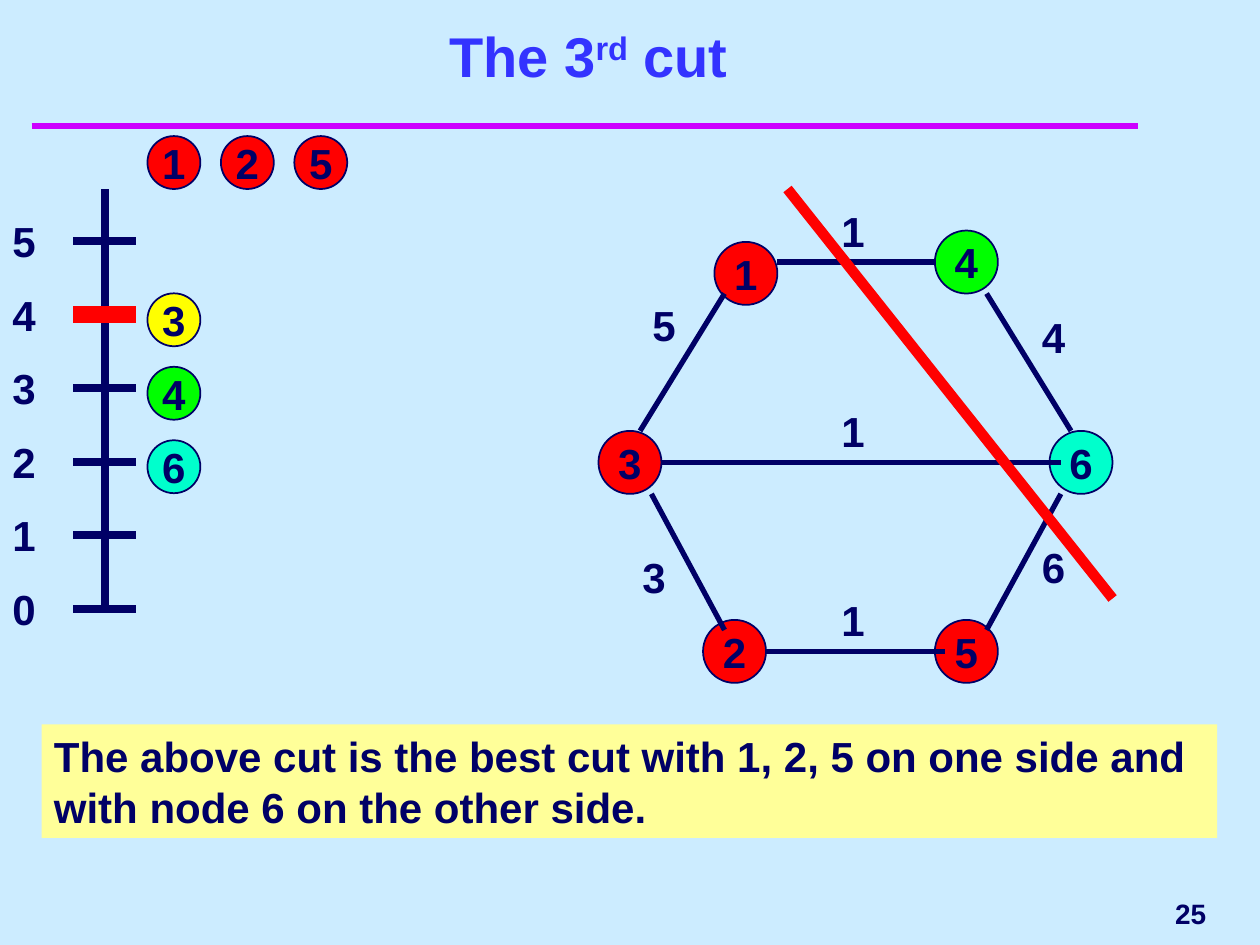
from pptx import Presentation
from pptx import util as u
from pptx.dml.color import RGBColor
from pptx.enum import shapes, text
from pptx.oxml import parse_xml
from pptx.oxml.ns import nsdecls

COLORS = {
    "background": "CCECFF", "ink": "000066", "title": "3333FF", "rule": "CC00FF",
    "red": "FF0000", "green": "00FF00", "cyan": "00FFCC", "yellow": "FFFF00",
    "note": "FFFF99",
}
LEFT, CENTER, RIGHT = text.PP_ALIGN.LEFT, text.PP_ALIGN.CENTER, text.PP_ALIGN.RIGHT
TOP, MIDDLE, BOTTOM = (text.MSO_ANCHOR.TOP, text.MSO_ANCHOR.MIDDLE,
                       text.MSO_ANCHOR.BOTTOM)


class Sketch:
    """Draws styled elements on one slide; lengths are in inches."""

    def __init__(self, s, font="Arial", size=24):
        self.s, self.font, self.size = s, font, size
        s.background.fill.solid()
        s.background.fill.fore_color.rgb = self.color("background")

    def color(self, name):
        return RGBColor.from_string(COLORS[name])

    def add_text(self, tf, runs, align, anchor, size=None, color="ink", wrap=True):
        """Fill a text frame with (text, baseline percent) runs."""
        tf.word_wrap = wrap
        tf.vertical_anchor = anchor
        p = tf.paragraphs[0]
        p.alignment = align
        for words, baseline in runs:
            r = p.add_run()
            r.text = words
            r.font.name, r.font.bold = self.font, True
            r.font.size = u.Pt(size or self.size)
            r.font.color.rgb = self.color(color)
            if baseline:
                r.font._element.set("baseline", str(baseline * 1000))

    def label(self, runs, x, y, w, h, align=LEFT, anchor=TOP, fill=None, **style):
        sp = self.s.shapes.add_textbox(*map(u.Inches, (x, y, w, h)))
        if fill:
            sp.fill.solid()
            sp.fill.fore_color.rgb = self.color(fill)
        if isinstance(runs, str):
            runs = [(runs, 0)]
        self.add_text(sp.text_frame, runs, align, anchor, **style)

    def node(self, name, x, y, size, fill):
        sp = self.s.shapes.add_shape(shapes.MSO_SHAPE.OVAL,
                                     *map(u.Inches, (x, y, size, size)))
        sp.shadow.inherit = False
        sp.fill.solid()
        sp.fill.fore_color.rgb = self.color(fill)
        sp.line.color.rgb = self.color("ink")
        sp.line.width = u.Pt(1)
        self.add_text(sp.text_frame, [(name, 0)], CENTER, MIDDLE, wrap=False)

    def line(self, x1, y1, x2, y2, width, color="ink"):
        c = self.s.shapes.add_connector(shapes.MSO_CONNECTOR.STRAIGHT,
                                        *map(u.Inches, (x1, y1, x2, y2)))
        c.line.color.rgb = self.color(color)
        c.line.width = u.Pt(width)
        c._element.spPr.append(parse_xml(f"<a:effectLst {nsdecls('a')}/>"))


def draw_scale(sketch):
    """Vertical axis 0 to 5 with the nodes placed at their connection weights."""
    base, step, chosen = 4.83, 0.583, 4
    sketch.line(0.83, 1.5, 0.83, base, 4.5)
    for value in range(6):
        y = base - step * value
        sketch.label(str(value), 0, y - 0.25, 0.42, 0.5)
        width, color = (10, "red") if value == chosen else (4.5, "ink")
        sketch.line(0.58, y, 1.08, y, width, color)
    for i, name in enumerate("125"):
        sketch.node(name, 1.17 + step * i, 1.08, 0.42, "red")
    for value, name, fill in [(4, "3", "yellow"), (3, "4", "green"), (2, "6", "cyan")]:
        sketch.node(name, 1.17, base - step * value - 0.17, 0.42, fill)


def draw_graph(sketch):
    nodes = [
        ("1", 5.67, 1.92, "red"), ("3", 4.75, 3.42, "red"), ("2", 5.58, 4.92, "red"),
        ("5", 7.42, 4.92, "red"), ("6", 8.33, 3.42, "cyan"), ("4", 7.42, 1.83, "green"),
    ]
    # Each edge: end points, weight, top left of the weight
    edges = [
        ((6.17, 2.08, 7.42, 2.08), "1", (6.58, 1.58)),
        ((5.75, 2.33, 5.08, 3.42), "5", (5.08, 2.33)),
        ((5.17, 3.92, 5.75, 5), "3", (5, 4.33)),
        ((6.08, 5.17, 7.5, 5.17), "1", (6.58, 4.67)),
        ((7.83, 5, 8.42, 3.92), "6", (8.17, 4.25)),
        ((8.5, 3.42, 7.83, 2.33), "4", (8.17, 2.42)),
        ((5.25, 3.67, 8.42, 3.67), "1", (6.58, 3.17)),
    ]
    for name, x, y, fill in nodes:
        sketch.node(name, x, y, 0.5, fill)
    for ends, weight, corner in edges:
        sketch.line(*ends, 3)
        sketch.label(weight, *corner, 0.67, 0.5)
    sketch.line(6.25, 1.5, 8.83, 4.75, 6, "red")


def main():
    prs = Presentation()
    prs.slide_width, prs.slide_height = u.Inches(10), u.Inches(7.5)
    sketch = Sketch(prs.slides.add_slide(prs.slide_layouts[6]))
    sketch.line(0.25, 1, 9.03, 1, 4, "rule")
    sketch.label([("The 3", 0), ("rd", 30), (" cut", 0)], 0.42, 0.33, 8.5, 0.42,
                 CENTER, BOTTOM, size=32, color="title")
    draw_scale(sketch)
    sketch.label("The above cut is the best cut with 1, 2, 5 on one side and "
                 "with node 6 on the other side.", 0.33, 5.75, 9.33, 0.9, fill="note")
    draw_graph(sketch)
    sketch.label("25", 7.75, 7, 1.92, 0.5, RIGHT, MIDDLE, size=16)
    prs.save("out.pptx")


if __name__ == "__main__":
    main()
